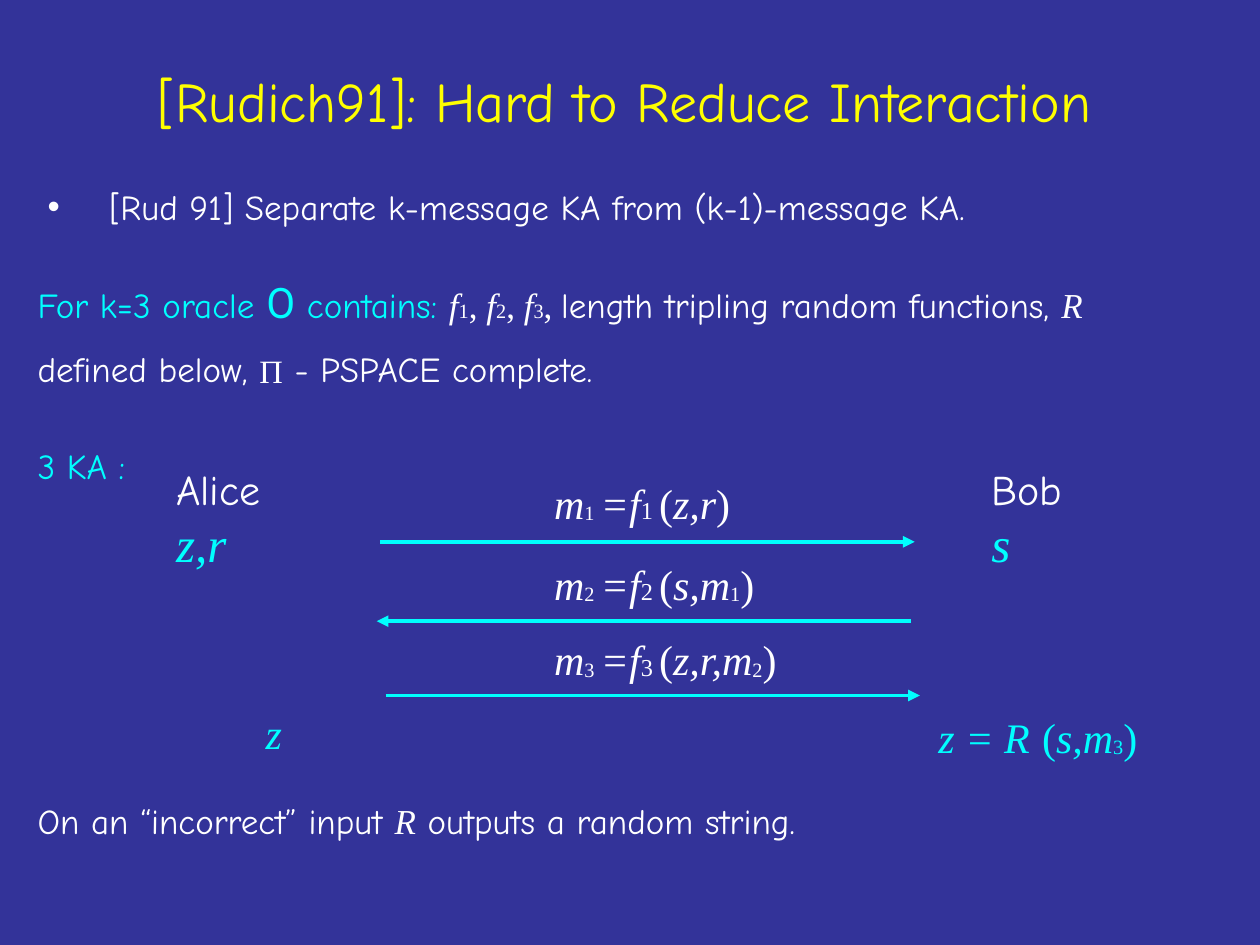
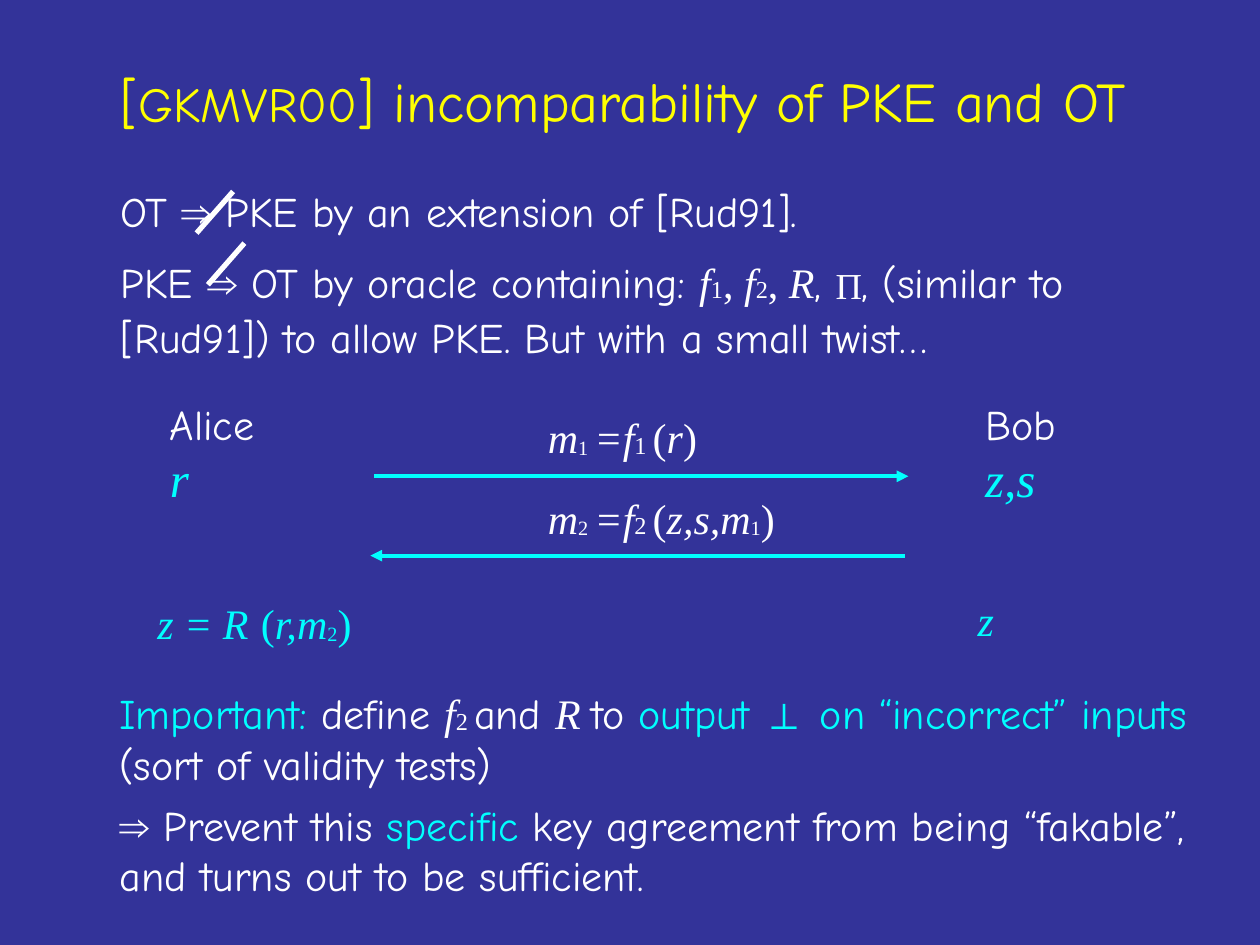
"""Build two slides on black-box separations for key agreement."""
from dataclasses import dataclass, replace

from lxml import etree
from pptx import Presentation
from pptx.dml.color import RGBColor
from pptx.enum.shapes import MSO_CONNECTOR
from pptx.enum.text import MSO_ANCHOR, MSO_AUTO_SIZE, PP_ALIGN
from pptx.oxml.ns import qn
from pptx.util import Inches, Pt

STRAIGHT = MSO_CONNECTOR.STRAIGHT
MIDDLE = MSO_ANCHOR.MIDDLE
CENTER = PP_ALIGN.CENTER
NO_AUTOFIT = MSO_AUTO_SIZE.NONE

NAVY = RGBColor(0x33, 0x33, 0x99)
YELLOW = RGBColor(0xFF, 0xFF, 0x00)
CYAN = RGBColor(0x00, 0xFF, 0xFF)
WHITE = RGBColor(0xFF, 0xFF, 0xFF)

HAND = "Comic Neue"
SERIF = "Times New Roman"
SANS = "Arial"
ROBOTO = "Roboto"

BOB_DX = 6.47
LABEL_DX = 3.0
ARROW_LENGTH = 4.24


@dataclass(frozen=True)
class Run:
    """A stretch of text in one format; baseline is a percentage."""
    text: str
    size: float = 24
    font: str = HAND
    colour: RGBColor = WHITE
    italic: bool = False
    bold: bool = False
    baseline: int = 0


@dataclass(frozen=True)
class Para:
    """A paragraph with its space before in points."""
    runs: list[Run]
    before: float = 0
    bullet: bool = False


@dataclass(frozen=True)
class Message:
    """One protocol message: its arguments and its offsets from Alice."""
    arguments: str
    index: str
    label_dy: float
    arrow_dx: float
    arrow_dy: float
    to_bob: bool


@dataclass(frozen=True)
class Exchange:
    """A protocol between Alice and Bob, placed at Alice's corner."""
    left: float
    top: float
    alice: str
    bob: str
    messages: list[Message]


def math(text: str, size: float = 24, colour: RGBColor = WHITE) -> Run:
    """Return an italic serif run."""
    return Run(text, size, SERIF, colour, italic=True)


def upright(text: str, size: float = 24, colour: RGBColor = WHITE,
            baseline: int = 0) -> Run:
    """Return an upright serif run."""
    return Run(text, size, SERIF, colour, baseline=baseline)


def indexed(name: str, index: str, size: float = 24) -> list[Run]:
    """Return a function name with its lowered index."""
    return [math(name, size), upright(index, size, baseline=-1)]


def arguments(names: str, index: str, colour: RGBColor = WHITE) -> list[Run]:
    """Return a bracketed argument list whose last name may be indexed."""
    lowered = [upright(index, 20, colour, -4)] if index else []
    return [upright("(", colour=colour), math(names, colour=colour),
            *lowered, upright(")", colour=colour)]


def recovery(names: str, index: str) -> list[Run]:
    """Return the formula that recovers z through R."""
    return [math("z = R", colour=CYAN), math(" ", 28, CYAN),
            *arguments(names, index, CYAN)]


def write(paragraph, runs: list[Run]) -> None:
    """Add formatted runs to a paragraph."""
    for item in runs:
        run = paragraph.add_run()
        run.text = item.text
        font = run.font
        font.name, font.size = item.font, Pt(item.size)
        font.italic, font.bold = item.italic, item.bold
        font.color.rgb = item.colour
        if item.baseline:
            run._r.get_or_add_rPr().set("baseline", str(item.baseline * 1000))


def add_bullet(paragraph) -> None:
    """Give a paragraph a white hanging bullet."""
    properties = paragraph._p.get_or_add_pPr()
    properties.set("marL", str(Inches(0.57)))
    properties.set("indent", str(Inches(-0.49)))
    colour = etree.SubElement(properties, qn("a:buClr"))
    etree.SubElement(colour, qn("a:srgbClr")).set("val", str(WHITE))
    etree.SubElement(properties, qn("a:buFont")).set("typeface", SANS)
    etree.SubElement(properties, qn("a:buChar")).set("char", "•")


def add_text(slide, left: float, top: float, width: float, height: float,
             paras: list[Para]) -> None:
    """Add a wrapped text box."""
    frame = slide.shapes.add_textbox(Inches(left), Inches(top),
                                     Inches(width), Inches(height)).text_frame
    frame.word_wrap = True
    for number, para in enumerate(paras):
        paragraph = frame.add_paragraph() if number else frame.paragraphs[0]
        paragraph.space_before = Pt(para.before)
        if para.bullet:
            add_bullet(paragraph)
        write(paragraph, para.runs)


def add_line(slide, start: tuple[float, float], end: tuple[float, float],
             colour: RGBColor, weight: float, arrow: bool = False) -> None:
    """Add a straight line, with an arrowhead at its end if asked."""
    line = slide.shapes.add_connector(STRAIGHT, *map(Inches, start + end))
    line.line.color.rgb = colour
    line.line.width = Pt(weight)
    if arrow:
        outline = line.line._get_or_add_ln()
        etree.SubElement(outline, qn("a:tailEnd")).set("type", "triangle")
    etree.SubElement(line._element.spPr, qn("a:effectLst"))


def add_exchange(slide, exchange: Exchange) -> None:
    """Draw both parties, the message labels and the arrows."""
    left, top = exchange.left, exchange.top
    for name, secret, dx in (("Bob", exchange.bob, BOB_DX),
                             ("Alice", exchange.alice, 0)):
        add_text(slide, left + dx, top, 1.3, 0.97,
                 [Para([Run(name)]), Para([math(secret, 28, CYAN)])])
    for number, message in enumerate(exchange.messages, 1):
        label = [math("m"), upright(str(number), 20, baseline=-4),
                 upright(" ", baseline=-1), math("=f"),
                 upright(f"{number} ", baseline=-1),
                 *arguments(message.arguments, message.index)]
        add_text(slide, left + LABEL_DX, top + message.label_dy, 2.2, 0.5,
                 [Para(label)])
        start = (left + message.arrow_dx, top + message.arrow_dy)
        end = (start[0] + ARROW_LENGTH, start[1])
        if not message.to_bob:
            start, end = end, start
        add_line(slide, start, end, CYAN, 2.25, arrow=True)


def add_slide(deck, left: float, width: float, title_runs: list[Run]):
    """Add a navy slide with a centred yellow title."""
    slide = deck.slides.add_slide(deck.slide_layouts[5])
    slide.background.fill.solid()
    slide.background.fill.fore_color.rgb = NAVY
    title = slide.shapes.title
    title.left, title.top = Inches(left), Inches(0.17)
    title.width, title.height = Inches(width), Inches(1.25)
    frame = title.text_frame
    frame.auto_size = NO_AUTOFIT
    frame.word_wrap = True
    frame.vertical_anchor = MIDDLE
    frame.paragraphs[0].alignment = CENTER
    write(frame.paragraphs[0],
          [replace(run, colour=YELLOW) for run in title_runs])
    return slide


FIRST = Message("z,r", "", 0.11, 1.72, 0.67, True)
SECOND = Message("s,m", "1", 0.75, 1.69, 1.3, False)
THIRD = Message("z,r,m", "2", 1.35, 1.76, 1.89, True)


def build_interaction(deck) -> None:
    """Build the slide on reducing interaction."""
    slide = add_slide(deck, 0.71, 8.5, [
        Run("[Rudich91]: Hard to Reduce Interaction", 32)])
    oracle = [
        Run("For k=3 oracle ", 20, colour=CYAN),
        Run("O", 24, ROBOTO, CYAN),
        Run(" contains: ", 20, colour=CYAN),
        *indexed("f", "1", 20), upright(",", 20),
        *indexed(" f", "2", 20), upright(",", 20),
        *indexed(" f", "3", 20), upright(", ", 20),
        Run("length tripling random functions, ", 20), math("R ", 20),
        Run("defined below, ", 20), upright("П", 32, baseline=-1),
        Run(" - PSPACE complete.", 20)]
    add_text(slide, 0.2, 1.42, 9.17, 5.52, [
        Para([Run("[Rud 91] Separate k-message KA from (k-1)-message KA.",
                  20)], bullet=True),
        Para(oracle, 28),
        Para([Run("3 KA :", 20, colour=CYAN)], 29),
        Para([Run("On an “incorrect” input ", 20), math("R", 20),
              Run(" outputs a random string.", 20)], 179)])
    add_exchange(slide, Exchange(1.3, 3.63, "z,r", "s",
                                 [FIRST, SECOND, THIRD]))
    add_text(slide, 7.35, 5.54, 2.23, 0.57, [Para(recovery("s,m", "3"))])
    add_text(slide, 2.01, 5.57, 0.57, 0.5, [Para([math("z", colour=CYAN)])])


def build_incomparability(deck) -> None:
    """Build the slide on PKE and OT."""
    slide = add_slide(deck, 0.17, 9.56, [
        Run("[", 32), Run("GKMVR00", 28),
        Run("] incomparability of PKE and OT", 32)])
    implies = Run("⇒", font=SANS, bold=True)
    add_text(slide, 0.86, 1.42, 8.5, 1.6, [
        Para([Run("OT "), implies, Run(" PKE by an extension of [Rud91].")]),
        Para([Run("PKE "), implies, Run(" OT by oracle containing: "),
              *indexed("f", "1"), upright(","),
              *indexed(" f", "2"), upright(", "), math("R"), Run(", "),
              upright("П", 36, baseline=-1),
              Run(", (similar to [Rud91]) to allow PKE. "
                  "But with a small twist…")])])
    add_exchange(slide, Exchange(1.25, 3.11, "r", "z,s", [
        replace(FIRST, arguments="r"), replace(SECOND, arguments="z,s,m")]))
    add_text(slide, 7.66, 4.67, 0.51, 0.5, [Para([math("z", colour=CYAN)])])
    add_text(slide, 1.15, 4.64, 2.23, 0.57, [Para(recovery("r,m", "2"))])
    add_text(slide, 0.85, 5.41, 8.82, 1.79, [
        Para([Run("Important: ", colour=CYAN), Run("define "),
              *indexed("f", "2 "), Run("and "), math("R "), Run("to"),
              Run(" output ", colour=CYAN),
              Run("⊥", font=SANS, colour=CYAN),
              Run(" on “incorrect” inputs", colour=CYAN),
              Run(" (sort of validity tests)")]),
        Para([implies, Run(" Prevent this"), Run(" specific", colour=CYAN),
              Run(" key agreement from being “fakable”, "
                  "and turns out to be sufficient.")], 6)])
    for left, bottom in ((1.56, 1.85), (1.65, 2.26)):
        add_line(slide, (left, bottom), (left + 0.29, bottom - 0.33),
                 WHITE, 3)


def main() -> None:
    """Build and save the deck."""
    deck = Presentation()
    deck.slide_width, deck.slide_height = Inches(10), Inches(7.5)
    build_interaction(deck)
    build_incomparability(deck)
    deck.save("out.pptx")


if __name__ == "__main__":
    main()
